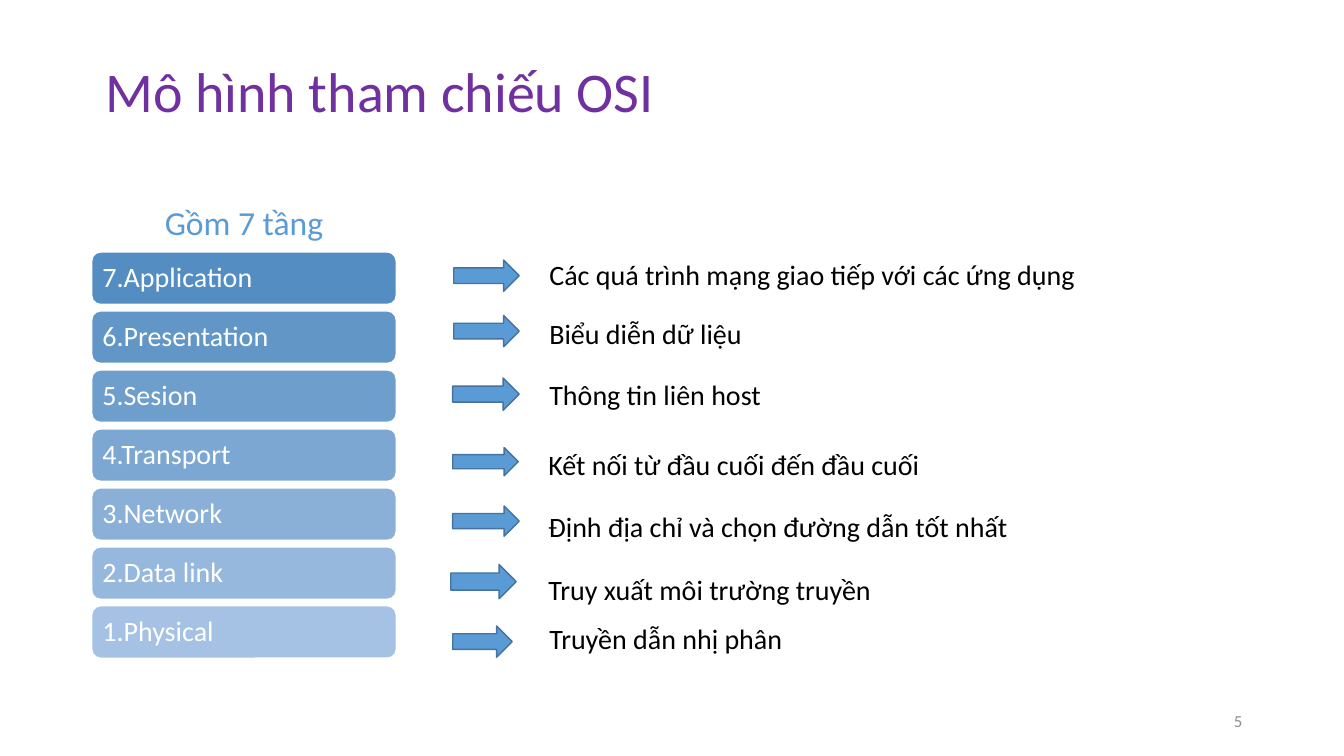
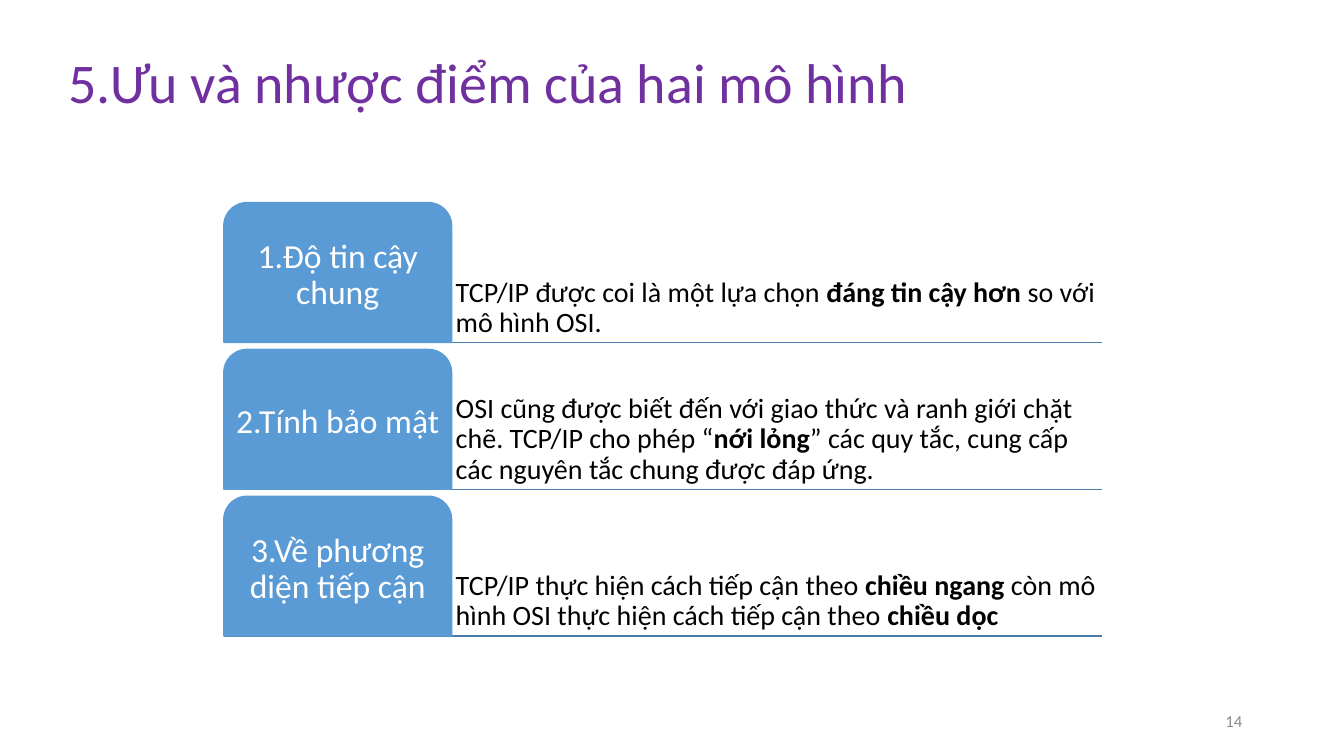
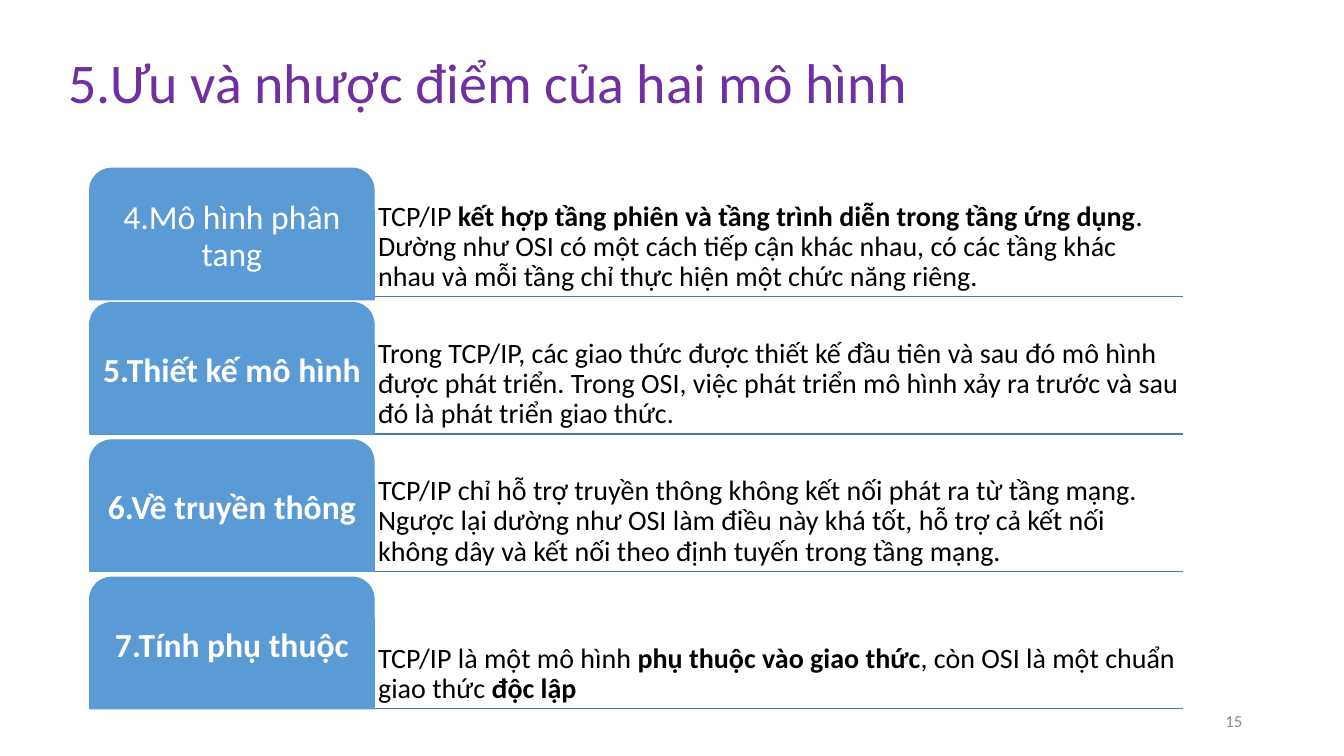
from lxml import etree
from pptx import Presentation, util as u
from pptx.dml.color import RGBColor
from pptx.enum import shapes, text
from pptx.oxml import ns

FONT = "Calibri"
PURPLE = RGBColor(0x70, 0x30, 0xA0)
BLUE = RGBColor(0x5B, 0x9B, 0xD5)
EDGE = RGBColor(0x43, 0x73, 0x9E)
RULE = RGBColor(0x49, 0x7C, 0xAB)
DEEP = RGBColor(0x53, 0x8D, 0xC1)
PALE = RGBColor(0xA5, 0xC1, 0xE3)
GREY = RGBColor(0x8C, 0x8C, 0x8C)
WHITE = RGBColor(0xFF, 0xFF, 0xFF)
BLACK = RGBColor(0, 0, 0)

LEFT, MID, RIGHT = text.PP_ALIGN.LEFT, text.PP_ALIGN.CENTER, text.PP_ALIGN.RIGHT
TOP, CENTER, BASE = (text.MSO_ANCHOR.TOP, text.MSO_ANCHOR.MIDDLE,
                     text.MSO_ANCHOR.BOTTOM)
KIND = shapes.MSO_SHAPE

# Name, meaning, then arrow box and text corner
LAYERS = [
    ("7.Application", "Các quá trình mạng giao tiếp với các ứng dụng",
     (4.5, 2.58, 0.65, 0.31), (5.35, 2.51)),
    ("6.Presentation", "Biểu diễn dữ liệu",
     (4.5, 3.13, 0.65, 0.31), (5.35, 3.09)),
    ("5.Sesion", "Thông tin liên host",
     (4.49, 3.75, 0.66, 0.32), (5.35, 3.7)),
    ("4.Transport", "Kết nối từ đầu cuối đến đầu cuối",
     (4.49, 4.44, 0.65, 0.28), (5.34, 4.39)),
    ("3.Network", "Định địa chỉ và chọn đường dẫn tốt nhất",
     (4.49, 5.02, 0.66, 0.3), (5.34, 5.01)),
    ("2.Data link", "Truy xuất môi trường truyền",
     (4.47, 5.6, 0.65, 0.34), (5.34, 5.63)),
    ("1.Physical", "Truyền dẫn nhị phân",
     (4.49, 6.21, 0.59, 0.31), (5.35, 6.12)),
]

# Asterisks enclose bold words
TRUST = [
    ("1.Độ tin cậy chung",
     "TCP/IP được coi là một lựa chọn *đáng tin cậy hơn *so với mô hình OSI."),
    ("2.Tính bảo mật",
     "OSI cũng được biết đến với giao thức và ranh giới chặt chẽ. TCP/IP cho "
     "phép “*nới lỏng*” các quy tắc, cung cấp các nguyên tắc chung được đáp ứng."),
    ("3.Về phương diện tiếp cận",
     "TCP/IP thực hiện cách tiếp cận theo *chiều ngang *còn mô hình OSI "
     "thực hiện cách tiếp cận theo *chiều dọc*"),
]
DESIGN = [
    ("4.Mô hình phân tang",
     "TCP/IP *kết hợp tầng phiên và tầng trình diễn trong tầng ứng dụng*. "
     "Dường như OSI có một cách tiếp cận khác nhau, có các tầng khác nhau "
     "và mỗi tầng chỉ thực hiện một chức năng riêng."),
    ("*5.Thiết kế mô hình*",
     "Trong TCP/IP, các giao thức được thiết kế đầu tiên và sau đó mô hình "
     "được phát triển. Trong OSI, việc phát triển mô hình xảy ra trước và "
     "sau đó là phát triển giao thức."),
    ("*6.Về truyền thông*",
     "TCP/IP chỉ hỗ trợ truyền thông không kết nối phát ra từ tầng mạng. "
     "Ngược lại dường như OSI làm điều này khá tốt, hỗ trợ cả kết nối không "
     "dây và kết nối theo định tuyến trong tầng mạng."),
    ("*7.Tính phụ thuộc*",
     "TCP/IP là một mô hình *phụ thuộc vào giao thức*, còn OSI là một chuẩn "
     "giao thức *độc lập*"),
]


def inches(box):
    return [u.Inches(v) for v in box]


def write(shape, words, size, color, align=LEFT, anchor=TOP,
          inset=(0.1, 0.05), space=1.0, wrap=True):
    frame = shape.text_frame
    frame.word_wrap = wrap
    frame.auto_size = text.MSO_AUTO_SIZE.NONE
    frame.vertical_anchor = anchor
    frame.margin_left = frame.margin_right = u.Inches(inset[0])
    frame.margin_top = frame.margin_bottom = u.Inches(inset[1])
    para = frame.paragraphs[0]
    para.alignment, para.line_spacing = align, space
    font = para.font
    font.name, font.size, font.color.rgb = FONT, u.Pt(size), color
    for i, part in enumerate(words.split("*")):
        if part:
            run = para.add_run()
            run.text = part
            if i % 2:
                run.font.bold = True


def label(slide, box, words, size, color, **style):
    write(slide.shapes.add_textbox(*inches(box)), words, size, color, **style)


def block(slide, kind, box, fill, line):
    shape = slide.shapes.add_shape(kind, *inches(box))
    shape.shadow.inherit = False
    shape.fill.solid()
    shape.fill.fore_color.rgb = fill
    shape.line.color.rgb = line
    shape.line.width = u.Pt(1)
    return shape


def rule(slide, x, y, end):
    line = slide.shapes.add_connector(shapes.MSO_CONNECTOR.STRAIGHT,
                                      *inches((x, y, end, y)))
    line.line.color.rgb = RULE
    line.line.width = u.Pt(1)
    etree.SubElement(line._element.spPr, ns.qn("a:effectLst"))


def start(deck, title, box, number):
    """Add a slide with its title and page number."""
    slide = deck.slides.add_slide(deck.slide_layouts[5])
    head = slide.shapes.title
    head.left, head.top, head.width, head.height = inches(box)
    write(head, title, 40, PURPLE, align=MID)
    label(slide, (9.42, 6.95, 3, 0.4), str(number), 12, GREY,
          align=RIGHT, anchor=CENTER)
    return slide


def blend(share):
    return RGBColor(*(round(a + (b - a) * share) for a, b in zip(DEEP, PALE)))


def stack(slide, box):
    """Fill the box with layer bars, each explained at its right."""
    x, y, width, height = box
    last = len(LAYERS) - 1
    bar = 0.52
    step = (height - bar) / last
    for i, (name, words, arrow, spot) in enumerate(LAYERS):
        shape = block(slide, KIND.ROUNDED_RECTANGLE,
                      (x, y + i * step, width, bar), blend(i / last), WHITE)
        write(shape, name, 20, WHITE, anchor=CENTER, inset=(0.08, 0.08),
              space=0.9)
        block(slide, KIND.RIGHT_ARROW, arrow, BLUE, EDGE)
        label(slide, (*spot, 6.09, 0.44), words, 20, BLACK, wrap=False)


def tabs(slide, box, rows, split, gap, nudge=0):
    """Stack ruled rows; split is the tab width, nudge lowers the first tab."""
    x, y, width, height = box
    step = (height + gap) / len(rows)
    tall = step - gap
    for i, (name, words) in enumerate(rows):
        top = y + i * step
        rule(slide, x, top + tall, x + width)
        label(slide, (x + split, top, width - split, tall), words, 20, BLACK,
              anchor=BASE, inset=(0.04, 0.04), space=0.9)
        drop = 0 if i else nudge
        tab = block(slide, KIND.ROUND_2_SAME_RECTANGLE,
                    (x, top + drop, split, tall), BLUE, BLUE)
        write(tab, name, 24, WHITE, align=MID, anchor=CENTER,
              inset=(0.05, 0.05), space=0.9)


def main():
    deck = Presentation()
    deck.slide_width, deck.slide_height = inches((13.33, 7.5))

    model = start(deck, "Mô hình tham chiếu OSI", (-0.18, 0.51, 7.89, 0.77), 5)
    label(model, (0.93, 1.95, 2.98, 0.5), "Gồm 7 tầng", 24, BLUE, align=MID)
    stack(model, (0.91, 2.5, 3.02, 4.03))

    title = "5.Ưu và nhược điểm của hai mô hình"
    place = (-0.12, 0.42, 9.91, 0.77)
    tabs(start(deck, title, place, 14), (2.22, 2.01, 8.71, 4.3), TRUST,
         2.26, 0.07)
    tabs(start(deck, title, place, 15), (0.89, 1.64, 10.84, 5.39), DESIGN,
         2.82, 0.06, nudge=0.03)
    deck.save("out.pptx")


if __name__ == "__main__":
    main()
